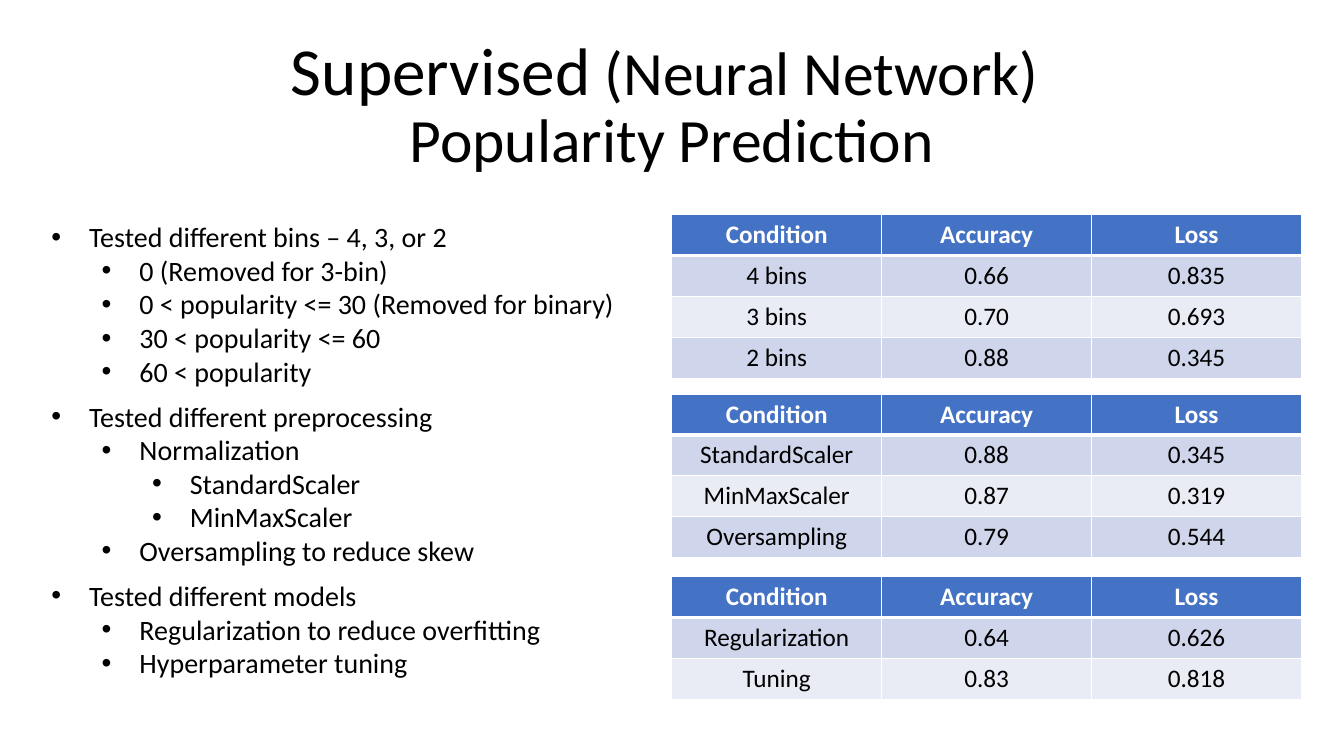
from dataclasses import dataclass

from lxml.etree import SubElement
from pptx import Presentation
from pptx.dml.color import RGBColor as Rgb
from pptx.enum.text import MSO_ANCHOR as Anchor, MSO_AUTO_SIZE as Fit, PP_ALIGN as Align
from pptx.oxml.ns import qn
from pptx.util import Cm, Pt


@dataclass(frozen=True)
class Theme:
    font: str = "Calibri"
    ink: str = "000000"
    white: str = "FFFFFF"
    head: str = "4472C4"
    bands: tuple = ("CFD5EA", "E9EBF5")
    title: int = 48
    subtitle: int = 44
    list: int = 20
    cell: int = 18
    thin: int = 1
    thick: int = 3


THEME = Theme()

LISTS = [
    (5.41, 4.52, [
        (0, "Tested different bins – 4, 3, or 2"),
        (1, "0 (Removed for 3-bin)"),
        (1, "0 < popularity <= 30 (Removed for binary)"),
        (1, "30 < popularity <= 60"),
        (1, "60 < popularity"),
    ]),
    (9.93, 4.52, [
        (0, "Tested different preprocessing"),
        (1, "Normalization"),
        (2, "StandardScaler"),
        (2, "MinMaxScaler"),
        (1, "Oversampling to reduce skew"),
    ]),
    (14.45, 2.82, [
        (0, "Tested different models"),
        (1, "Regularization to reduce overfitting"),
        (1, "Hyperparameter tuning"),
    ]),
]

HEADER = ("Condition", "Accuracy", "Loss")
TABLES = [
    (5.41, [("4 bins", "0.66", "0.835"),
            ("3 bins", "0.70", "0.693"),
            ("2 bins", "0.88", "0.345")]),
    (9.93, [("StandardScaler", "0.88", "0.345"),
            ("MinMaxScaler", "0.87", "0.319"),
            ("Oversampling", "0.79", "0.544")]),
    (14.53, [("Regularization", "0.64", "0.626"),
             ("Tuning", "0.83", "0.818")]),
]


def write(para, text, size, color=THEME.ink, bold=False, align=Align.LEFT):
    para.alignment = align
    run = para.add_run()
    run.text = text
    font = run.font
    font.name, font.size, font.bold = THEME.font, Pt(size), bold
    font.color.rgb = Rgb.from_string(color)


def place(shape, left, top, width, height):
    shape.left, shape.top = Cm(left), Cm(top)
    shape.width, shape.height = Cm(width), Cm(height)


def add_title(shape):
    place(shape, 1.63, 0, 30.61, 5.38)
    frame = shape.text_frame
    frame.auto_size = Fit.NONE
    frame.vertical_anchor = Anchor.MIDDLE
    para = frame.paragraphs[0]
    para.line_spacing = 0.9
    write(para, "Supervised", THEME.title, align=Align.CENTER)
    write(para, " (Neural Network) ", THEME.subtitle, align=Align.CENTER)
    para.add_line_break()
    write(para, "Popularity Prediction", THEME.subtitle, align=Align.CENTER)


def add_bullet(para, level):
    para.level = level
    para.space_before = para.space_after = Pt(0)
    para.line_spacing = 1.0
    props = para._p.get_or_add_pPr()
    props.set("marL", str(Cm(0.95 + 1.27 * level)))
    props.set("indent", str(Cm(-0.95)))
    SubElement(props, qn("a:buFont"), typeface="Arial")
    SubElement(props, qn("a:buChar"), char="•")


def add_list(shape, top, height, items):
    place(shape, 1.04, top, 14.86, height)
    frame = shape.text_frame
    frame.word_wrap = True
    frame.auto_size = Fit.SHAPE_TO_FIT_TEXT
    frame.vertical_anchor = Anchor.TOP
    for i, (level, text) in enumerate(items):
        para = frame.add_paragraph() if i else frame.paragraphs[0]
        add_bullet(para, level)
        write(para, text, THEME.list)


def add_edges(cell, row):
    props = cell._tc.get_or_add_tcPr()
    for side in "LRTB":
        thick = (row, side) in ((0, "B"), (1, "T"))
        width = Pt(THEME.thick if thick else THEME.thin)
        line = SubElement(props, qn(f"a:ln{side}"), w=str(width))
        fill = SubElement(line, qn("a:solidFill"))
        SubElement(fill, qn("a:srgbClr"), val=THEME.white)


def add_scores(slide, top, data):
    rows = [HEADER, *data]
    tall, wide = 1.03, 5.29
    frame = slide.shapes.add_table(len(rows), len(HEADER), Cm(16.93), Cm(top),
                                   Cm(wide * len(HEADER)), Cm(tall * len(rows)))
    table = frame.table
    for col in table.columns:
        col.width = Cm(wide)
    for r, values in enumerate(rows):
        table.rows[r].height = Cm(tall)
        head = r == 0
        for c, text in enumerate(values):
            cell = table.cell(r, c)
            add_edges(cell, r)
            cell.fill.solid()
            color = THEME.head if head else THEME.bands[(r - 1) % 2]
            cell.fill.fore_color.rgb = Rgb.from_string(color)
            write(cell.text_frame.paragraphs[0], text, THEME.cell,
                  color=THEME.white if head else THEME.ink,
                  bold=head, align=Align.CENTER)


def main():
    deck = Presentation()
    deck.slide_width, deck.slide_height = Cm(33.87), Cm(19.05)
    slide = deck.slides.add_slide(deck.slide_layouts.get_by_name("Comparison"))
    add_title(slide.shapes.title)
    *bodies, spare = list(slide.placeholders)[1:]
    spare.element.getparent().remove(spare.element)
    for body, block in zip(bodies, LISTS):
        add_list(body, *block)
    for block in TABLES:
        add_scores(slide, *block)
    deck.save("out.pptx")


if __name__ == "__main__":
    main()
